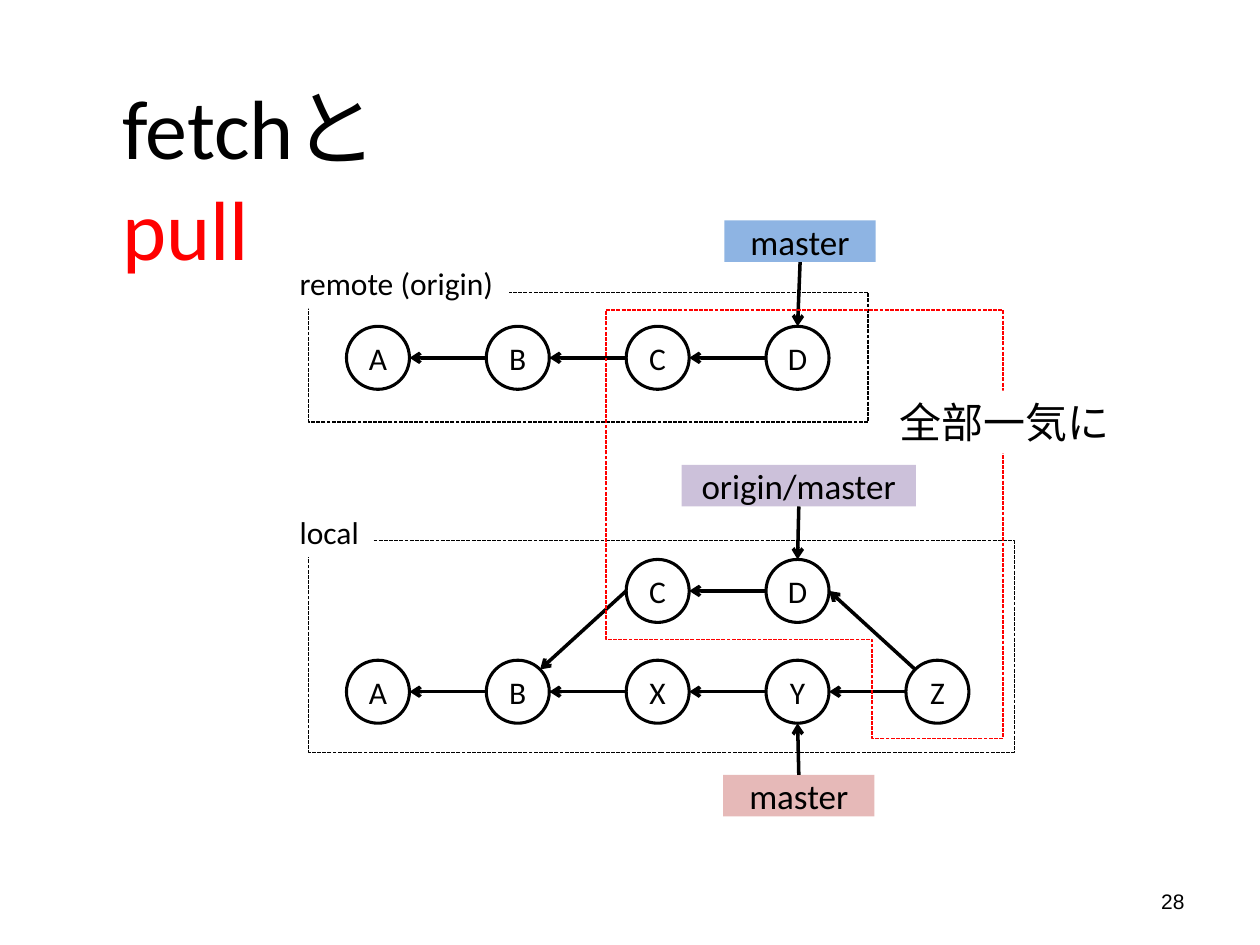
from dataclasses import dataclass
from math import cos, radians, sin
from typing import NamedTuple

from lxml.etree import SubElement as Sub
from pptx import Presentation
from pptx.dml.color import RGBColor as Rgb
from pptx.enum.dml import MSO_LINE as Dash
from pptx.enum.shapes import MSO_CONNECTOR as Wire, MSO_SHAPE as Kind
from pptx.enum.text import MSO_ANCHOR as Anchor, PP_ALIGN as Align
from pptx.oxml.ns import qn
from pptx.util import Inches, Pt


@dataclass(frozen=True)
class Theme:
    ink: str = "000000"
    red: str = "FF0000"
    paper: str = "FFFFFF"
    blue: str = "8EB4E3"
    pink: str = "E6B9B8"
    plum: str = "CCC1DA"
    font: str = "Calibri"
    plain: str = "Arial"
    title: int = 48
    note: int = 24
    tag: int = 20
    text: int = 18
    page: int = 12
    thin: float = 0.75
    ring: float = 1.75
    wire: float = 2


class Spot(NamedTuple):
    x: float
    y: float


class Box(NamedTuple):
    x: float
    y: float
    w: float
    h: float


class Row(NamedTuple):
    names: str
    col: int
    y: float


class Tag(NamedTuple):
    text: str
    box: Box
    fill: str
    site: int
    node: Spot
    turn: int


LOOK = Theme()
COLS, ROWS = 100, 75
UNIT = Inches(10) / COLS
LEFT, STEP, SIZE = 30, 11.1, 5
HALF = SIZE / 2

deck = Presentation()
deck.slide_width, deck.slide_height = round(COLS * UNIT), round(ROWS * UNIT)
slide = deck.slides.add_slide(deck.slide_layouts[5])
shapes = slide.shapes


def scale(vals: tuple) -> list[int]:
    return [round(val * UNIT) for val in vals]


def write(shape, text: str, *, size: int = LOOK.text, color: str = LOOK.ink,
          font: str = LOOK.font, align=Align.LEFT, anchor=Anchor.TOP,
          wrap: bool = False) -> None:
    frame = shape.text_frame
    frame.word_wrap, frame.vertical_anchor = wrap, anchor
    para = frame.paragraphs[0]
    para.alignment = align
    run = para.add_run()
    run.text = text
    run.font.size, run.font.name = Pt(size), font
    run.font.color.rgb = Rgb.from_string(color)


def draw(box: Box, kind=Kind.RECTANGLE, *, fill: str = "", line: str = "",
         width: float = LOOK.thin, dash=None):
    shape = shapes.add_shape(kind, *scale(box))
    shape.shadow.inherit = False
    if fill:
        shape.fill.solid()
        shape.fill.fore_color.rgb = Rgb.from_string(fill)
    else:
        shape.fill.background()
    if line:
        shape.line.color.rgb = Rgb.from_string(line)
        shape.line.width = Pt(width)
        shape.line.dash_style = dash
    else:
        shape.line.fill.background()
    return shape


def arrow(start: Spot, end: Spot):
    link = shapes.add_connector(Wire.STRAIGHT, *scale(start + end))
    link.line.color.rgb = Rgb.from_string(LOOK.ink)
    link.line.width = Pt(LOOK.wire)
    Sub(link.line._get_or_add_ln(), qn("a:tailEnd"), type="arrow")
    Sub(link._element.spPr, qn("a:effectLst"))
    return link


def place(col: int, y: float) -> Spot:
    return Spot(LEFT + col * STEP, y)


def edge(node: Spot, turn: int) -> Spot:
    ang = radians(turn)
    return Spot(node.x + HALF * cos(ang), node.y - HALF * sin(ang))


def ring(name: str, node: Spot) -> None:
    shape = draw(Box(node.x - HALF, node.y - HALF, SIZE, SIZE), Kind.OVAL,
                 line=LOOK.ink, width=LOOK.ring)
    frame = shape.text_frame
    frame.margin_left = frame.margin_right = 0
    frame.margin_top = frame.margin_bottom = 0
    write(shape, name, align=Align.CENTER, anchor=Anchor.MIDDLE)


def chain(row: Row) -> None:
    for i, name in enumerate(row.names):
        node = place(row.col + i, row.y)
        ring(name, node)
        if i:
            arrow(edge(node, 180), edge(place(row.col + i - 1, row.y), 0))


def label(tag: Tag) -> None:
    shape = draw(tag.box, fill=tag.fill)
    write(shape, tag.text, size=LOOK.tag, align=Align.CENTER,
          anchor=Anchor.MIDDLE, wrap=True)
    box = tag.box
    start = Spot(box.x + box.w / 2, box.y + (box.h if tag.site == 2 else 0))
    link = arrow(start, edge(tag.node, tag.turn))
    link.begin_connect(shape, tag.site)


TOP, MID, LOW = 28.4, 46.9, 54.9
CHAINS = [Row("ABCD", 0, TOP), Row("CD", 2, MID), Row("ABXYZ", 0, LOW)]
AREAS = [
    ("local", Box(24.5, 42.9, 56, 16.8), Box(22.8, 40.2, 6.8, 4)),
    ("remote (origin)", Box(24.5, 23.2, 44.4, 10.3), Box(22.8, 20.5, 17.6, 4)),
]
TAGS = [
    Tag("master", Box(57.5, 17.5, 12, 3.3), LOOK.blue, 2, place(3, TOP), 90),
    Tag("master", Box(57.4, 61.5, 12, 3.3), LOOK.pink, 0, place(3, LOW), 270),
    Tag("origin/master", Box(54.1, 36.9, 18.6, 3.3), LOOK.plum, 2,
        place(3, MID), 90),
]

title = shapes.title
title.left, title.top, title.width, title.height = scale(Box(8.7, 5.5, 31.4, 9.1))
for text, color in (("fetchと", LOOK.ink), ("pull", LOOK.red)):
    write(title, text, size=LOOK.title, color=color, wrap=True)

for name, area, head in AREAS:
    draw(area, line=LOOK.ink, dash=Dash.SQUARE_DOT)
    write(draw(head, fill=LOOK.paper), name)
for row in CHAINS:
    chain(row)
arrow(edge(place(2, MID), 180), edge(place(1, LOW), 45))
arrow(edge(place(4, LOW), 135), edge(place(3, MID), 0))
for tag in TAGS:
    label(tag)

scope = draw(Box(48.1, 24.6, 31.5, 34), Kind.CORNER, line=LOOK.red,
             dash=Dash.SQUARE_DOT)
scope.rotation = 180
scope.adjustments[0], scope.adjustments[1] = 0.83, 0.33
note = draw(Box(70.4, 31, 18.7, 5), fill=LOOK.paper)
write(note, "全部一気に", size=LOOK.note)

page = shapes.add_textbox(*scale(Box(71.7, 69.5, 23.3, 4)))
write(page, "28", size=LOOK.page, font=LOOK.plain, align=Align.RIGHT,
      anchor=Anchor.MIDDLE, wrap=True)

deck.save("out.pptx")
